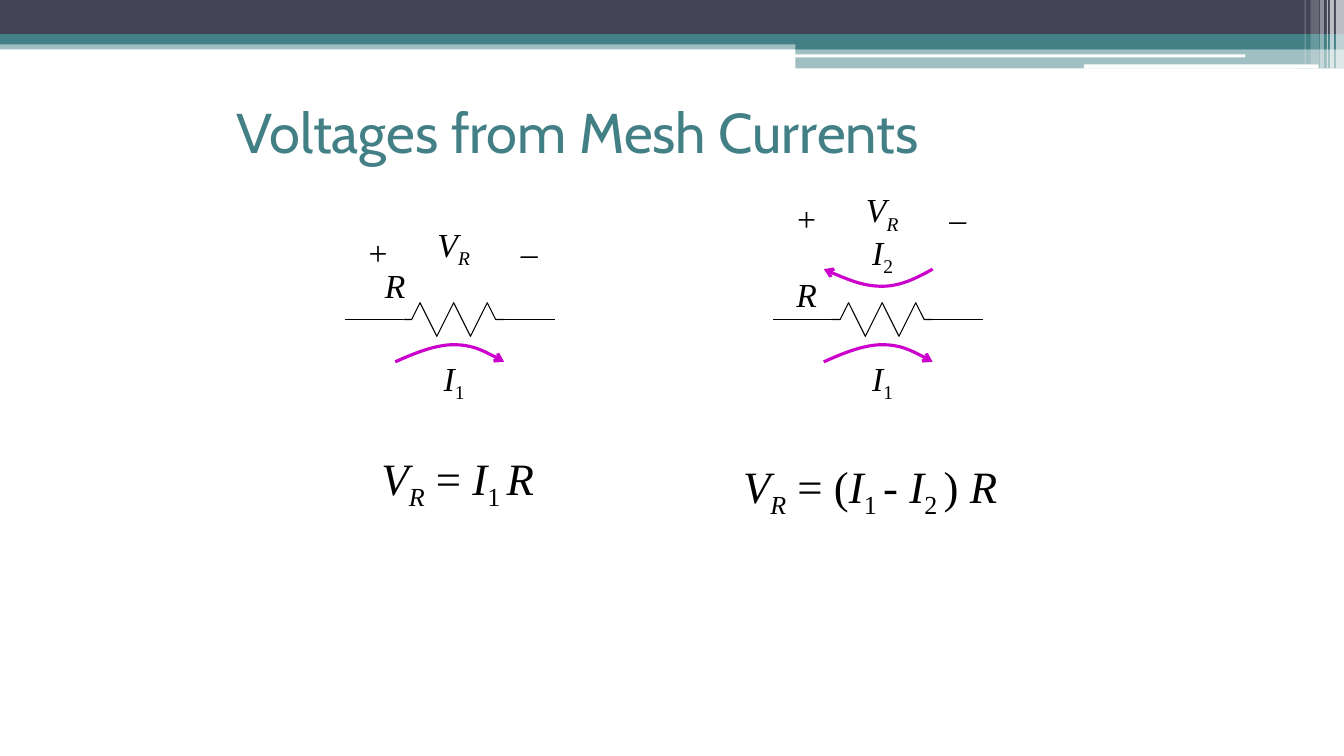
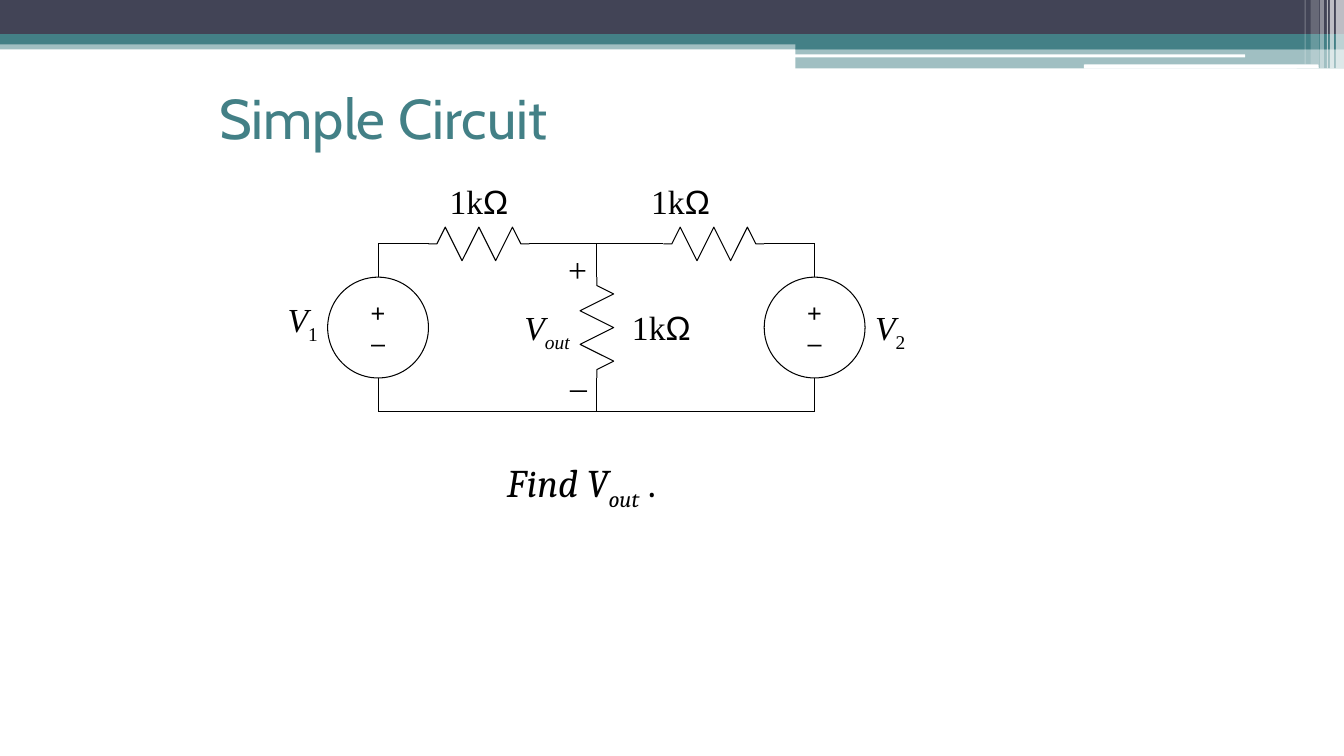
from lxml.etree import SubElement
from pptx import Presentation
from pptx.dml.color import RGBColor
from pptx.enum.shapes import MSO_CONNECTOR as Connector, MSO_SHAPE as Shape
from pptx.enum.text import MSO_ANCHOR as Anchor, PP_ALIGN as Align
from pptx.oxml.ns import qn
from pptx.util import Inches, Pt

INK, TEAL, NAVY, WHITE, MAGENTA = "000000", "438086", "424456", "FFFFFF", "CC00CC"
SERIF, SANS, TITLE_FONT, BODY_FONT = "Times New Roman", "Arial", "Cabin", "Cambria"

BANDS = [
    (Shape.RECTANGLE, 0, 0.4, 13.33, 0.09, TEAL, 50),
    (Shape.RECTANGLE, 0, 0, 13.33, 0.34, NAVY, 100),
    (Shape.RECTANGLE, 0, 0.34, 13.33, 0.1, TEAL, 100),
    (Shape.RECTANGLE, 7.89, 0.39, 5.44, 0.1, TEAL, 100),
    (Shape.RECTANGLE, 7.89, 0.48, 5.44, 0.2, TEAL, 50),
    (Shape.ROUNDED_RECTANGLE, 7.88, 0.54, 4.47, 0.03, WHITE, 100),
    (Shape.ROUNDED_RECTANGLE, 10.75, 0.64, 2.33, 0.04, WHITE, 100),
    (Shape.RECTANGLE, 13.25, 0, 0.08, 0.68, WHITE, 65),
    (Shape.RECTANGLE, 13.19, 0, 0.04, 0.68, WHITE, 65),
    (Shape.RECTANGLE, 13.16, 0, 0.01, 0.68, WHITE, 60),
    (Shape.RECTANGLE, 13.09, 0, 0.04, 0.68, WHITE, 40),
    (Shape.RECTANGLE, 13, 0, 0.08, 0.64, WHITE, 20),
    (Shape.RECTANGLE, 12.94, 0, 0.01, 0.64, WHITE, 30),
]

PLAIN, ITALIC, SUB, ITALIC_SUB, SYMBOL = "plain", "italic", "sub", "italic sub", "symbol"
PLUS, MINUS = [("+", PLAIN)], [("–", PLAIN)]
V_R = [("V", ITALIC), ("R", ITALIC_SUB)]
V_OUT = [("V", ITALIC), ("out", ITALIC_SUB)]
KILOHM = [("1k", PLAIN), ("Ω", SYMBOL)]

MESHES = [
    {
        "left": 3.42, "label_top": 2.17, "r_at": (3.42, 2.58), "opposing": False,
        "equation_at": (3.25, 4.42, 2.58),
        "equation": V_R + [(" = ", PLAIN), ("I", ITALIC), ("1 ", SUB), ("R", ITALIC)],
    },
    {
        "left": 7.67, "label_top": 1.83, "r_at": (7.5, 2.67), "opposing": True,
        "equation_at": (7.17, 4.5, 2.92),
        "equation": V_R + [(" = (", PLAIN), ("I", ITALIC), ("1 ", SUB), ("- ", PLAIN),
                           ("I", ITALIC), ("2 ", SUB), (") ", PLAIN), ("R", ITALIC)],
    },
]

LEFT_X, MID_X, RIGHT_X = 3.75, 5.92, 8.08
TOP_Y, BOTTOM_Y = 2.42, 4.08
SOURCE_TOP, SOURCE_SIZE = 2.75, 1
SOURCE_BOTTOM = SOURCE_TOP + SOURCE_SIZE

CIRCUIT_WIRES = [
    (LEFT_X, TOP_Y, 4.25, TOP_Y),
    (5.25, TOP_Y, 6.58, TOP_Y),
    (7.58, TOP_Y, RIGHT_X, TOP_Y),
    (LEFT_X, BOTTOM_Y, RIGHT_X, BOTTOM_Y),
]
CIRCUIT_LABELS = [
    (PLUS, 5.5, 2.42, 0.42, Align.RIGHT),
    (MINUS, 4.92, 3.58, 1, Align.RIGHT),
    (V_OUT, 5, 3, 0.75, Align.RIGHT),
    (KILOHM, 4.25, 1.75, 1, Align.CENTER),
    (KILOHM, 6.25, 1.75, 1, Align.CENTER),
    (KILOHM, 6.17, 3, 1, Align.LEFT),
    ([("V", ITALIC), ("1", SUB)], 2.67, 2.92, 0.58, Align.RIGHT),
    ([("V", ITALIC), ("2", SUB)], 8.58, 3, 0.58, Align.LEFT),
]

ZIGZAG = [(0, 0), (1, 0), (2, -2), (4, 2), (6, -2), (8, 2), (10, -2), (11, 0), (12, 0)]
ARC = [(0, 0.17), (0.2, 0.08), (0.4, 0), (0.58, 0), (0.76, 0), (0.92, 0.08), (1.08, 0.17)]


def color(value):
    return RGBColor.from_string(value)


def set_line(shape, value=INK, width=0.75):
    shape.line.color.rgb = color(value)
    shape.line.width = Pt(width)


def add_band(page, kind, left, top, width, height, value, opacity):
    band = page.shapes.add_shape(kind, Inches(left), Inches(top), Inches(width), Inches(height))
    band.shadow.inherit = False
    band.fill.solid()
    band.fill.fore_color.rgb = color(value)
    band.line.fill.background()
    if opacity < 100:
        fill = band.fill._xPr.find(qn("a:solidFill"))
        SubElement(fill[0], qn("a:alpha")).set("val", str(opacity * 1000))


def add_text(page, spans, left, top, width, height=0.5, size=24, font=SERIF,
             value=INK, align=Align.CENTER, anchor=Anchor.TOP):
    box = page.shapes.add_textbox(Inches(left), Inches(top), Inches(width), Inches(height))
    frame = box.text_frame
    frame.word_wrap = True
    frame.vertical_anchor = anchor
    para = frame.paragraphs[0]
    para.alignment = align
    for text, style in spans:
        span = para.add_run()
        span.text = text
        span.font.name = SANS if style == SYMBOL else font
        span.font.size = Pt(size)
        span.font.color.rgb = color(value)
        span.font.italic = "italic" in style
        if "sub" in style:
            span._r.get_or_add_rPr().set("baseline", "-25000")
    return box


def add_wire(page, x1, y1, x2, y2):
    wire = page.shapes.add_connector(
        Connector.STRAIGHT, Inches(x1), Inches(y1), Inches(x2), Inches(y2))
    set_line(wire)
    SubElement(wire._element.spPr, qn("a:effectLst"))


def add_outline(page, points):
    corners = [(Inches(x), Inches(y)) for x, y in points]
    builder = page.shapes.build_freeform(*corners[0], scale=1.0)
    builder.add_line_segments(corners[1:], close=False)
    outline = builder.convert_to_shape()
    outline.shadow.inherit = False
    outline.fill.background()
    return outline


def add_resistor(page, x, y, vertical=False):
    steps = [(along / 12, across / 12) for along, across in ZIGZAG]
    if vertical:
        points = [(x - across, y + along) for along, across in steps]
    else:
        points = [(x + along, y + across) for along, across in steps]
    set_line(add_outline(page, points))


def add_current(page, x, y, leftward=False):
    points = [(x + dx, y + (0.17 - dy if leftward else dy)) for dx, dy in ARC]
    current = add_outline(page, points)
    set_line(current, MAGENTA, 2.25)
    path = next(current._element.iter(qn("a:path")))
    segments = path.findall(qn("a:lnTo"))
    for first in (0, 3):
        curve = SubElement(path, qn("a:cubicBezTo"))
        for segment in segments[first:first + 3]:
            curve.append(segment[0])
            path.remove(segment)
    end = "a:headEnd" if leftward else "a:tailEnd"
    SubElement(current.line._get_or_add_ln(), qn(end)).set("type", "arrow")


def add_source(page, center):
    source = page.shapes.add_shape(
        Shape.OVAL, Inches(center - SOURCE_SIZE / 2), Inches(SOURCE_TOP),
        Inches(SOURCE_SIZE), Inches(SOURCE_SIZE))
    source.shadow.inherit = False
    source.fill.background()
    set_line(source)
    frame = source.text_frame
    frame.text = "+\n–"
    frame.word_wrap = False
    frame.vertical_anchor = Anchor.MIDDLE
    for para in frame.paragraphs:
        para.alignment = Align.CENTER
        para.font.name = SANS
        para.font.size = Pt(18)
        para.font.color.rgb = color(INK)
    add_wire(page, center, TOP_Y, center, SOURCE_TOP)
    add_wire(page, center, SOURCE_BOTTOM, center, BOTTOM_Y)


def add_page(deck, title, left, top):
    page = deck.slides.add_slide(deck.slide_layouts[6])
    for band in BANDS:
        add_band(page, *band)
    add_text(page, [(title, PLAIN)], left, top, 9, 1.17, 40, TITLE_FONT, TEAL,
             Align.LEFT, Anchor.MIDDLE)
    return page


def add_mesh(page, mesh):
    left, label_top = mesh["left"], mesh["label_top"]
    wire_y = 3.17
    add_resistor(page, left + 0.58, wire_y)
    for start in (left, left + 1.5):
        add_wire(page, start, wire_y, start + 0.58, wire_y)
    add_text(page, [("R", ITALIC)], *mesh["r_at"], 1)
    add_text(page, PLUS, left + 0.08, label_top + 0.08, 0.5)
    add_text(page, V_R, left + 0.58, label_top, 1)
    add_text(page, MINUS, left + 1.58, label_top + 0.08, 0.5)
    add_current(page, left + 0.5, 3.42)
    add_text(page, [("I", ITALIC), ("1", SUB)], left + 0.75, 3.5, 0.67)
    if mesh["opposing"]:
        add_current(page, left + 0.5, 2.67, leftward=True)
        add_text(page, [("I", ITALIC), ("2", SUB)], left + 0.75, 2.25, 0.67)
    add_text(page, mesh["equation"], *mesh["equation_at"], 0.63, 32)


def add_circuit(page):
    for x in (4.25, 6.58):
        add_resistor(page, x, TOP_Y)
    add_resistor(page, MID_X, SOURCE_TOP, vertical=True)
    add_wire(page, MID_X, TOP_Y, MID_X, SOURCE_TOP)
    add_wire(page, MID_X, SOURCE_BOTTOM, MID_X, BOTTOM_Y)
    for wire in CIRCUIT_WIRES:
        add_wire(page, *wire)
    for center in (LEFT_X, RIGHT_X):
        add_source(page, center)
    for spans, left, top, width, align in CIRCUIT_LABELS:
        add_text(page, spans, left, top, width, align=align)
    task = add_text(page, [("Find V", ITALIC), ("out", ITALIC_SUB), (" .", PLAIN)],
                    3.58, 4.5, 4.25, 0.83, 28, BODY_FONT)
    task.text_frame.margin_left = Inches(0.22)


def main():
    deck = Presentation()
    deck.slide_width, deck.slide_height = Inches(13.33), Inches(7.5)
    mesh_page = add_page(deck, "Voltages from Mesh Currents", 2.25, 0.72)
    for mesh in MESHES:
        add_mesh(mesh_page, mesh)
    add_circuit(add_page(deck, "Simple Circuit", 2.08, 0.58))
    deck.save("out.pptx")


if __name__ == "__main__":
    main()
